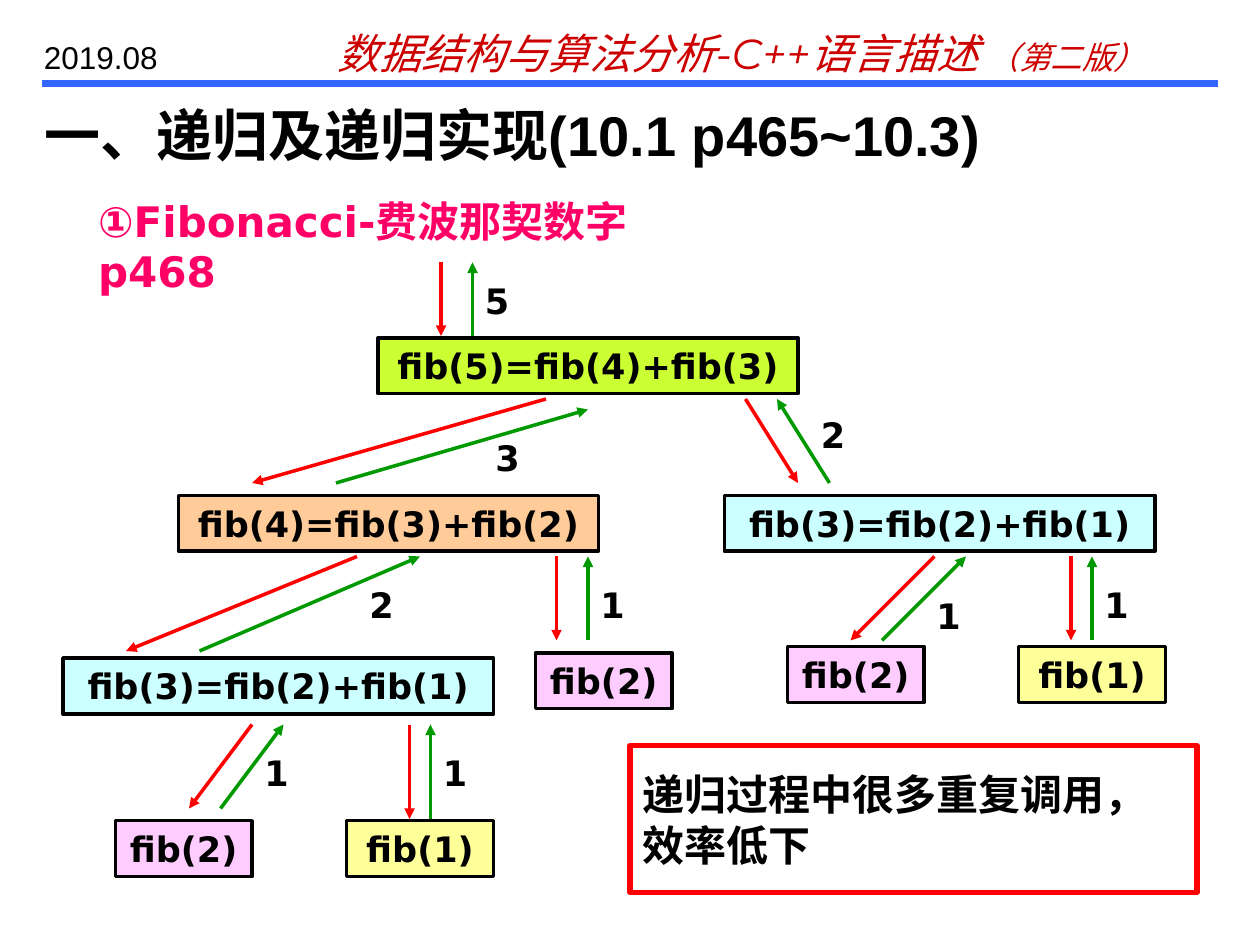
from dataclasses import dataclass
from typing import NamedTuple

from lxml.etree import SubElement
from pptx import Presentation
from pptx.dml.color import RGBColor
from pptx.enum.shapes import MSO_CONNECTOR as Connector, MSO_SHAPE as Shape
from pptx.enum.text import MSO_ANCHOR as Anchor, MSO_AUTO_SIZE as AutoSize, PP_ALIGN as Align
from pptx.oxml.ns import qn
from pptx.util import Pt


@dataclass(frozen=True)
class Theme:
    black: str = "000000"
    rule: str = "3366FF"
    header: str = "CC0000"
    heading: str = "FF0066"
    call: str = "FF0000"
    returned: str = "009900"
    title_size: int = 32
    large_size: int = 24
    node_size: int = 20
    small_size: int = 18
    plain_font: str = "Arial"
    header_font: str = "Montserrat"
    body_font: str = "DejaVu Sans"


class NodeStyle(NamedTuple):
    text: str
    width: int
    fill: str


class Node(NamedTuple):
    number: int
    left: float
    top: float
    call: tuple
    returned: tuple
    label: tuple


THEME = Theme()
NODE_HEIGHT = 32
LABEL_WIDTH = 30
NODE_STYLES = {
    5: NodeStyle("fib(5)=fib(4)+fib(3)", 240, "CCFF33"),
    4: NodeStyle("fib(4)=fib(3)+fib(2)", 240, "FFCC99"),
    3: NodeStyle("fib(3)=fib(2)+fib(1)", 246, "CCFFFF"),
    2: NodeStyle("fib(2)", 78, "FFCCFF"),
    1: NodeStyle("fib(1)", 84, "FFFF99"),
}
RESULTS = {1: "1", 2: "1", 3: "2", 4: "3", 5: "5"}
NODES = [
    Node(5, 216, 193, (252, 150, 252, 192), (270, 192, 270, 150), (270, 156)),
    Node(4, 102, 283, (312, 228, 144, 276), (192, 276, 336, 234), (276, 246)),
    Node(3, 414, 283, (426, 228, 456, 276), (474, 276, 444, 228), (462, 232.5)),
    Node(3, 36, 376, (204, 318, 72, 372), (114, 372, 240, 318), (204, 330)),
    Node(2, 306, 373, (318, 318, 318, 366), (336, 366, 336, 318), (336, 330)),
    Node(2, 450, 369.5, (534, 318, 486, 366), (504, 366, 552, 318), (528, 336)),
    Node(1, 582, 369.5, (612, 318, 612, 366), (624, 366, 624, 318), (624, 330)),
    Node(2, 66, 469, (144, 414, 108, 462), (126, 462, 162, 414), (144, 426)),
    Node(1, 198, 469, (234, 414, 234, 468), (246, 468, 246, 414), (246, 426)),
]


def write_text(shape, text, *, size, font=THEME.body_font, color=THEME.black,
               bold=False, italic=False, align=Align.LEFT, anchor=Anchor.TOP):
    frame = shape.text_frame
    frame.word_wrap = True
    frame.auto_size = AutoSize.NONE
    frame.vertical_anchor = anchor
    paragraph = frame.paragraphs[0]
    paragraph.alignment = align
    run = paragraph.add_run()
    run.text = text
    run.font.name = font
    run.font.size = Pt(size)
    run.font.bold = bold
    run.font.italic = italic
    run.font.color.rgb = RGBColor.from_string(color)


def add_text(slide, box, text, **text_format):
    shape = slide.shapes.add_textbox(*map(Pt, box))
    write_text(shape, text, **text_format)
    return shape


def add_box(slide, box, text, *, line, line_width, fill=None, **text_format):
    shape = slide.shapes.add_shape(Shape.RECTANGLE, *map(Pt, box))
    shape.shadow.inherit = False
    if fill:
        shape.fill.solid()
        shape.fill.fore_color.rgb = RGBColor.from_string(fill)
    else:
        shape.fill.background()
    shape.line.color.rgb = RGBColor.from_string(line)
    shape.line.width = Pt(line_width)
    write_text(shape, text, bold=True, anchor=Anchor.MIDDLE, **text_format)


def add_line(slide, ends, color, width):
    connector = slide.shapes.add_connector(Connector.STRAIGHT, *map(Pt, ends))
    connector.line.color.rgb = RGBColor.from_string(color)
    connector.line.width = Pt(width)
    SubElement(connector._element.spPr, qn("a:effectLst"))
    return connector


def add_arrow(slide, ends, color):
    connector = add_line(slide, ends, color, 2)
    outline = connector._element.spPr.find(qn("a:ln"))
    SubElement(outline, qn("a:tailEnd"), type="triangle")


def add_header(slide):
    add_line(slide, (24, 48, 696, 48), THEME.rule, 4)
    course = add_text(slide, (186, 12, 504, 36), "数据结构与算法分析-C++语言描述 ",
                      size=THEME.large_size, font=THEME.header_font,
                      color=THEME.header, italic=True)
    write_text(course, "（第二版）", size=THEME.small_size, font=THEME.header_font,
               color=THEME.header, italic=True)
    add_text(slide, (18, 18, 102, 29), "2019.08", size=THEME.small_size,
             font=THEME.plain_font)


def add_title(slide, text):
    title = slide.shapes.title
    title.left, title.top, title.width, title.height = map(Pt, (18, 54, 654, 36))
    write_text(title, text, size=THEME.title_size, font=THEME.plain_font, bold=True)


def add_node(slide, node):
    style = NODE_STYLES[node.number]
    add_box(slide, (node.left, node.top, style.width, NODE_HEIGHT), style.text,
            fill=style.fill, line=THEME.black, line_width=2,
            size=THEME.node_size, align=Align.CENTER)
    add_arrow(slide, node.call, THEME.call)
    add_arrow(slide, node.returned, THEME.returned)
    add_text(slide, (*node.label, LABEL_WIDTH, NODE_HEIGHT), RESULTS[node.number],
             size=THEME.node_size, bold=True)


def main():
    presentation = Presentation()
    presentation.slide_width, presentation.slide_height = Pt(720), Pt(540)
    slide = presentation.slides.add_slide(presentation.slide_layouts[5])
    add_header(slide)
    add_title(slide, "一、递归及递归实现(10.1 p465~10.3)")
    add_text(slide, (49, 108, 372, 36), "①Fibonacci-费波那契数字 p468",
             size=THEME.large_size, color=THEME.heading, bold=True)
    for node in NODES:
        add_node(slide, node)
    add_box(slide, (360, 426, 324, 84), "递归过程中很多重复调用，效率低下",
            line=THEME.call, line_width=3, size=THEME.large_size)
    presentation.save("out.pptx")


if __name__ == "__main__":
    main()
